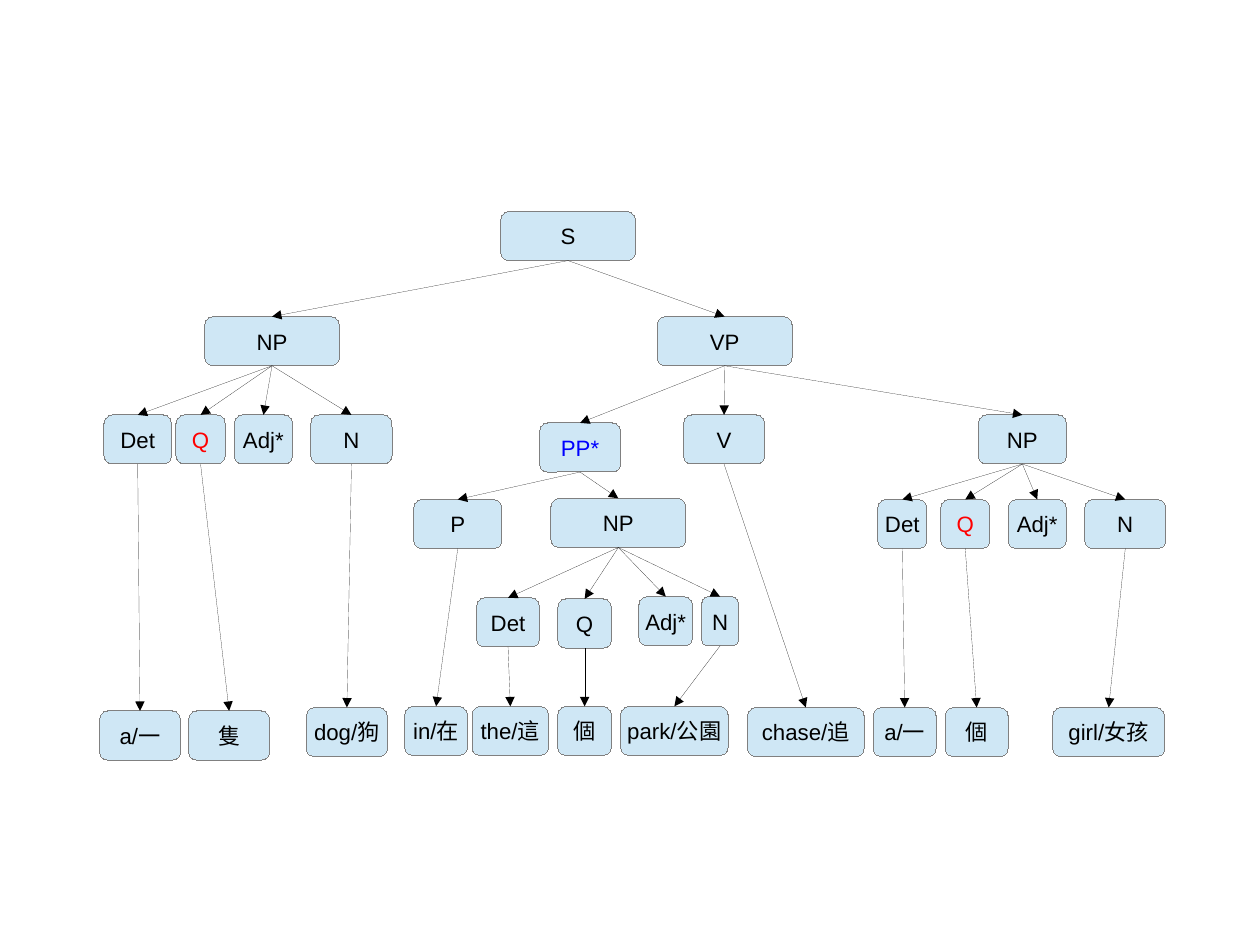
from pptx import Presentation
from pptx.dml.color import RGBColor
from pptx.enum.shapes import MSO_CONNECTOR, MSO_SHAPE
from pptx.enum.text import MSO_ANCHOR, PP_ALIGN
from pptx.oxml.ns import qn
from pptx.util import Cm, Inches, Pt
from lxml import etree

STRAIGHT = MSO_CONNECTOR.STRAIGHT
ROUNDED = MSO_SHAPE.ROUNDED_RECTANGLE
MIDDLE = MSO_ANCHOR.MIDDLE
CENTER = PP_ALIGN.CENTER

BLACK = RGBColor(0x00, 0x00, 0x00)
GRAY = RGBColor(0x80, 0x80, 0x80)
PALE_BLUE = RGBColor(0xCF, 0xE7, 0xF5)
RED = RGBColor(0xFF, 0x00, 0x00)
BLUE = RGBColor(0x00, 0x00, 0xFF)

NODE_HEIGHT = 0.43
TOP_SITE, BOTTOM_SITE = 0, 2

# depth, label, left, top, width, colour
TREE = [
    (0, "S", 4.38, 1.85, 1.18, BLACK),
    (1, "NP", 1.79, 2.77, 1.18, BLACK),
    (2, "Det", 0.91, 3.63, 0.59, BLACK),
    (3, "a/一", 0.87, 6.22, 0.71, BLACK),
    (2, "Q", 1.54, 3.63, 0.43, RED),
    (3, "隻", 1.65, 6.22, 0.71, BLACK),
    (2, "Adj*", 2.05, 3.63, 0.51, BLACK),
    (2, "N", 2.72, 3.63, 0.71, BLACK),
    (3, "dog/狗", 2.68, 6.19, 0.71, BLACK),
    (1, "VP", 5.75, 2.77, 1.18, BLACK),
    (2, "PP*", 4.72, 3.70, 0.71, BLUE),
    (3, "P", 3.62, 4.37, 0.77, BLACK),
    (4, "in/在", 3.54, 6.18, 0.55, BLACK),
    (3, "NP", 4.82, 4.36, 1.18, BLACK),
    (4, "Det", 4.17, 5.23, 0.55, BLACK),
    (5, "the/這", 4.13, 6.18, 0.67, BLACK),
    (4, "Q", 4.88, 5.24, 0.47, BLACK),
    (5, "個", 4.88, 6.18, 0.47, BLACK),
    (4, "Adj*", 5.59, 5.22, 0.47, BLACK),
    (4, "N", 6.14, 5.22, 0.32, BLACK),
    (5, "park/公園", 5.43, 6.18, 0.94, BLACK),
    (2, "V", 5.98, 3.63, 0.71, BLACK),
    (3, "chase/追", 6.54, 6.19, 1.02, BLACK),
    (2, "NP", 8.56, 3.63, 0.77, BLACK),
    (3, "Det", 7.68, 4.37, 0.43, BLACK),
    (4, "a/一", 7.64, 6.19, 0.55, BLACK),
    (3, "Q", 8.23, 4.37, 0.43, RED),
    (4, "個", 8.27, 6.19, 0.55, BLACK),
    (3, "Adj*", 8.82, 4.37, 0.51, BLACK),
    (3, "N", 9.49, 4.37, 0.71, BLACK),
    (4, "girl/女孩", 9.21, 6.19, 0.98, BLACK),
]


def set_hairline(shape, color):
    shape.element.remove(shape.element.find(qn("p:style")))
    shape.line.color.rgb = color
    shape.line.width = Pt(0)


prs = Presentation()
prs.slide_width, prs.slide_height = Cm(28), Cm(21)
s = prs.slides.add_slide(prs.slide_layouts[6])

ancestors = {}
for depth, label, left, top, width, color in TREE:
    sp = s.shapes.add_shape(ROUNDED, Inches(left), Inches(top), Inches(width), Inches(NODE_HEIGHT))
    sp.shadow.inherit = False
    sp.fill.solid()
    sp.fill.fore_color.rgb = PALE_BLUE
    set_hairline(sp, GRAY)
    tf = sp.text_frame
    tf.word_wrap = False
    tf.vertical_anchor = MIDDLE
    p = tf.paragraphs[0]
    p.text = label
    p.alignment = CENTER
    p.font.name = "Arial"
    p.font.size = Pt(14)
    p.font.color.rgb = color
    ancestors[depth] = sp

    if depth:
        arrow = s.shapes.add_connector(STRAIGHT, 0, 0, 0, 0)
        arrow.begin_connect(ancestors[depth - 1], BOTTOM_SITE)
        arrow.end_connect(sp, TOP_SITE)
        set_hairline(arrow, BLACK)
        props = arrow.element.spPr
        etree.SubElement(props.find(qn("a:ln")), qn("a:tailEnd"), type="triangle")
        etree.SubElement(props, qn("a:effectLst"))

prs.save("out.pptx")
